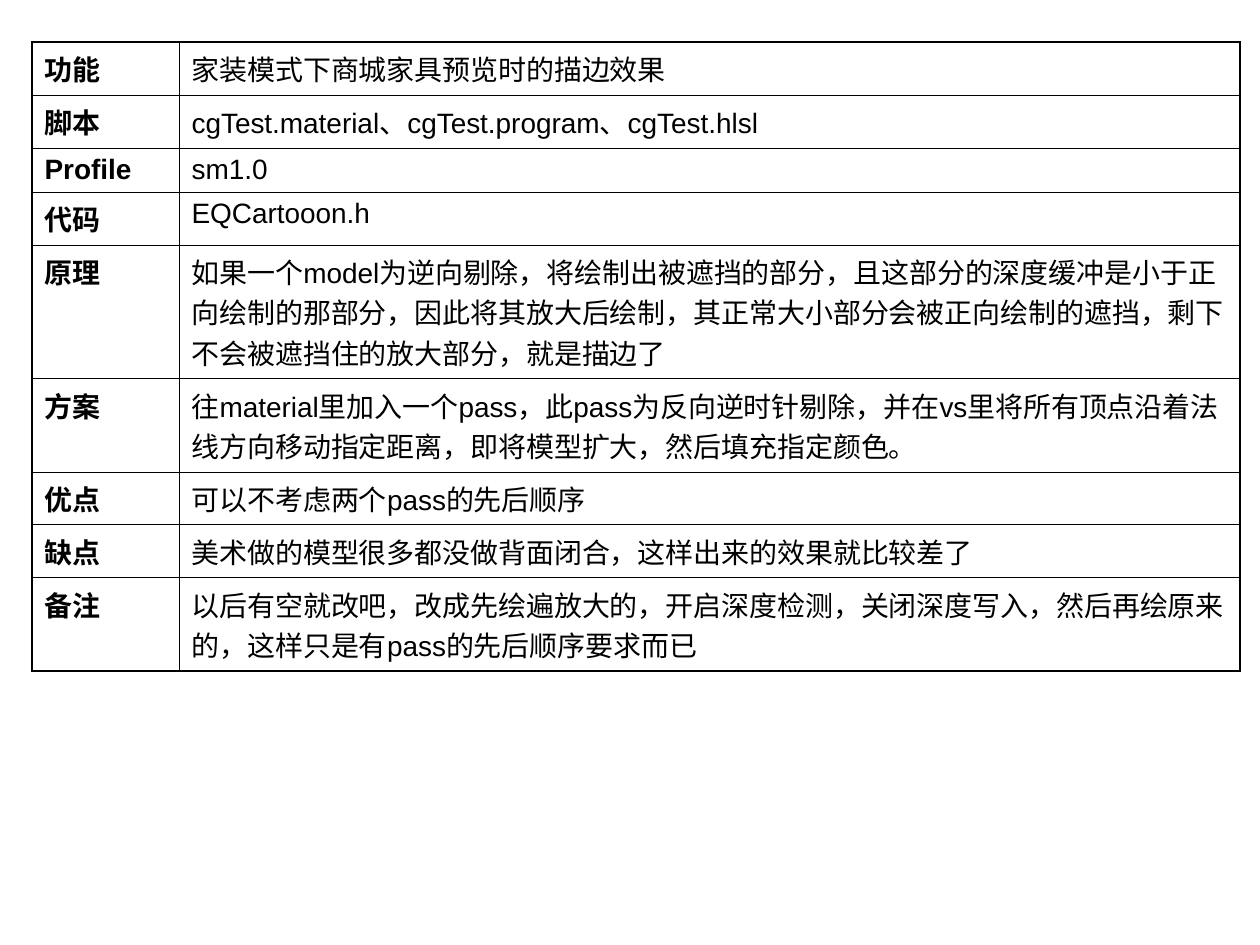
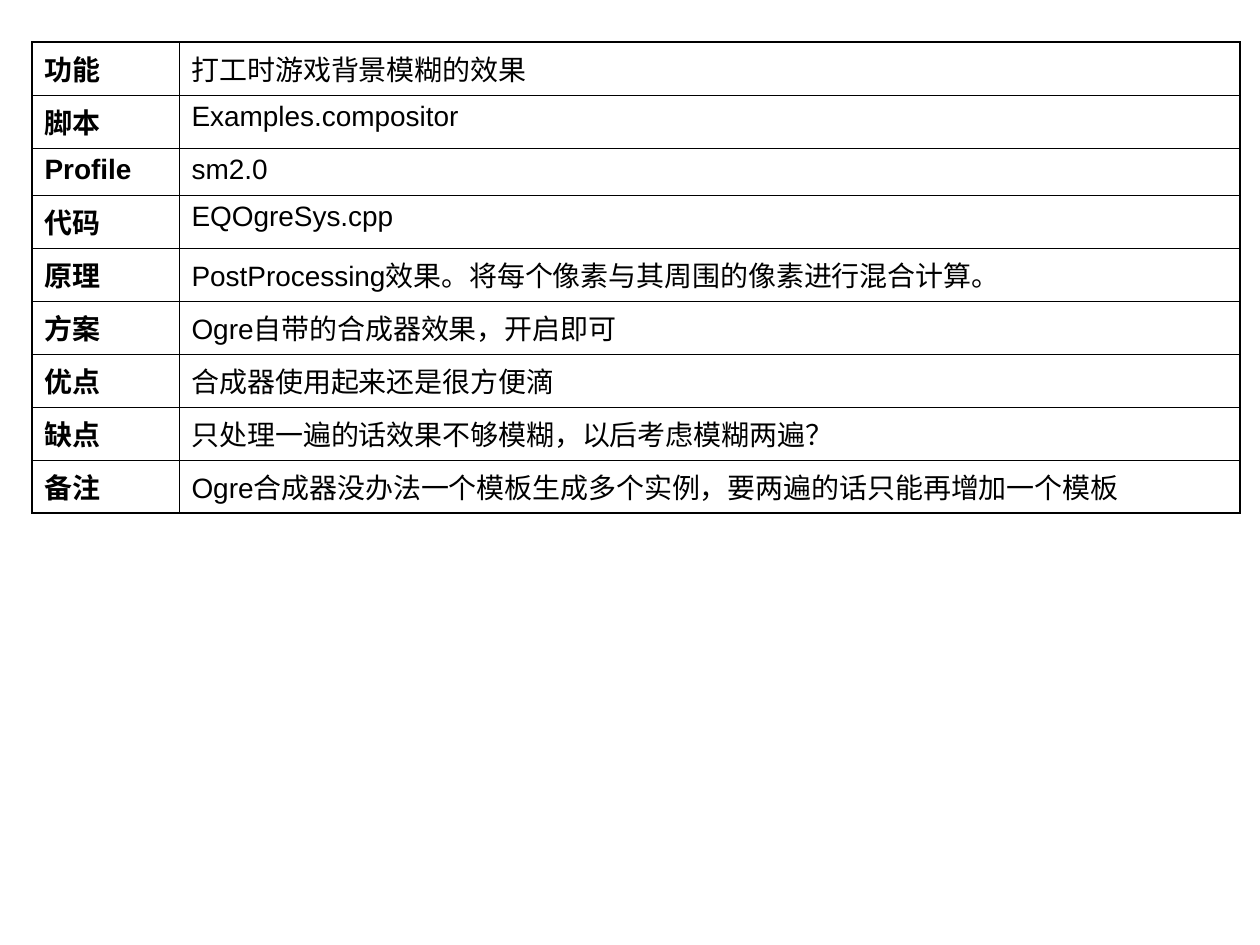
from lxml import etree
from pptx import Presentation
from pptx.dml.color import RGBColor
from pptx.enum.lang import MSO_LANGUAGE_ID
from pptx.oxml.ns import qn
from pptx.util import Emu, Pt

CHINESE = MSO_LANGUAGE_ID.SIMPLIFIED_CHINESE

LABELS = ["功能", "脚本", "Profile", "代码", "原理", "方案", "优点", "缺点", "备注"]

# Each effect: height of its Profile row, then (text, number of lines) per label
EFFECTS = [
    (44, [
        ("家装模式下商城家具预览时的描边效果", 1),
        ("cgTest.material、cgTest.program、cgTest.hlsl", 1),
        ("sm1.0", 1),
        ("EQCartooon.h", 1),
        ("如果一个model为逆向剔除，将绘制出被遮挡的部分，且这部分的深度缓冲是小于"
         "正向绘制的那部分，因此将其放大后绘制，其正常大小部分会被正向绘制的遮挡，"
         "剩下不会被遮挡住的放大部分，就是描边了", 3),
        ("往material里加入一个pass，此pass为反向逆时针剔除，并在vs里将所有顶点沿"
         "着法线方向移动指定距离，即将模型扩大，然后填充指定颜色。", 2),
        ("可以不考虑两个pass的先后顺序", 1),
        ("美术做的模型很多都没做背面闭合，这样出来的效果就比较差了", 1),
        ("以后有空就改吧，改成先绘遍放大的，开启深度检测，关闭深度写入，然后再绘原来"
         "的，这样只是有pass的先后顺序要求而已", 2),
    ]),
    (47, [
        ("打工时游戏背景模糊的效果", 1),
        ("Examples.compositor", 1),
        ("sm2.0", 1),
        ("EQOgreSys.cpp", 1),
        ("PostProcessing效果。将每个像素与其周围的像素进行混合计算。", 1),
        ("Ogre自带的合成器效果，开启即可", 1),
        ("合成器使用起来还是很方便滴", 1),
        ("只处理一遍的话效果不够模糊，以后考虑模糊两遍？", 1),
        ("Ogre合成器没办法一个模板生成多个实例，要两遍的话只能再增加一个模板", 1),
    ]),
]

SCALE = 914400 / 126
SLIDE_W, SLIDE_H = 1260, 945
LEFT, TOP = 32, 42
COL_WIDTHS = [147, 1061]
ROW_H, EXTRA_LINE_H = 53, 40
BLACK = "000000"
OUTER, INNER = Pt(1.08), Pt(0.45)


def px(n):
    return Emu(round(n * SCALE))


def color(hex_string):
    return RGBColor.from_string(hex_string)


def write(tf, text, size=16, bold=False, font="Arial", fill=BLACK):
    tf.word_wrap = True
    p = tf.paragraphs[0]
    p.space_before = Pt(4)
    r = p.add_run()
    r.text = text
    r.font.size, r.font.bold, r.font.name = Pt(size), bold, font
    r.font.color.rgb = color(fill)
    r.font.language_id = CHINESE


def set_borders(cell, **widths):
    tc_pr = cell._tc.get_or_add_tcPr()
    for side, width in widths.items():
        ln = etree.SubElement(tc_pr, qn(f"a:ln{side}"), w=str(int(width)))
        fill = etree.SubElement(ln, qn("a:solidFill"))
        etree.SubElement(fill, qn("a:srgbClr"), val=BLACK)


def add_effect_table(s, profile_h, entries):
    heights = [profile_h if label == "Profile" else ROW_H + EXTRA_LINE_H * (lines - 1)
               for label, (_, lines) in zip(LABELS, entries)]
    table = s.shapes.add_table(len(LABELS), 2, px(LEFT), px(TOP),
                               px(sum(COL_WIDTHS)), px(sum(heights))).table
    table.first_row = table.horz_banding = False
    for column, width in zip(table.columns, COL_WIDTHS):
        column.width = px(width)

    last = len(LABELS) - 1
    for i, (label, (text, _)) in enumerate(zip(LABELS, entries)):
        table.rows[i].height = px(heights[i])
        for j, content in enumerate((label, text)):
            cell = table.cell(i, j)
            write(cell.text_frame, content, bold=j == 0)
            set_borders(cell,
                        L=OUTER if j == 0 else INNER,
                        R=OUTER if j == 1 else INNER,
                        T=OUTER if i == 0 else INNER,
                        B=OUTER if i == last else INNER)
            cell.fill.background()


def main():
    prs = Presentation()
    prs.slide_width, prs.slide_height = px(SLIDE_W), px(SLIDE_H)
    for profile_h, entries in EFFECTS:
        s = prs.slides.add_slide(prs.slide_layouts[6])
        add_effect_table(s, profile_h, entries)
    prs.save("out.pptx")


if __name__ == "__main__":
    main()
